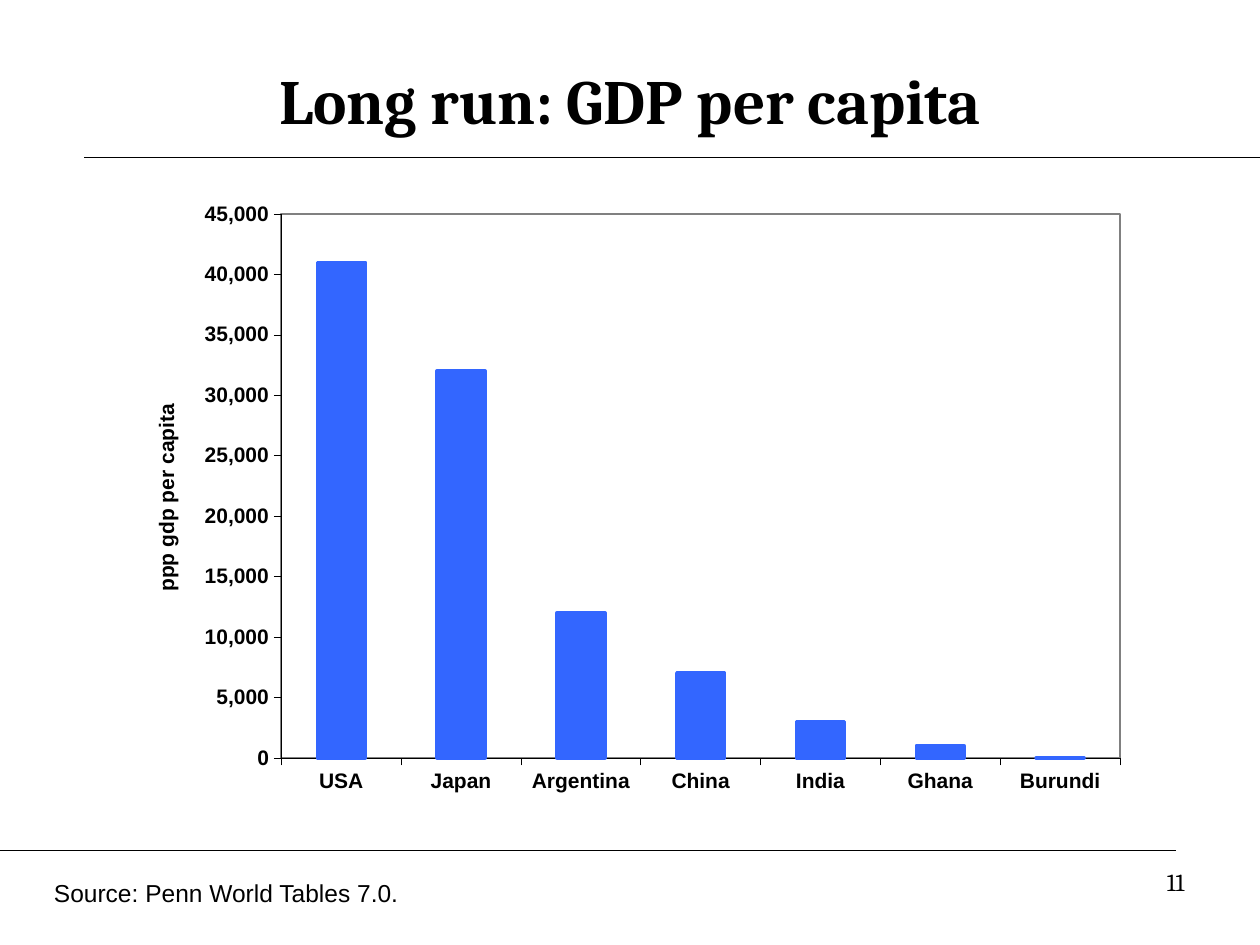
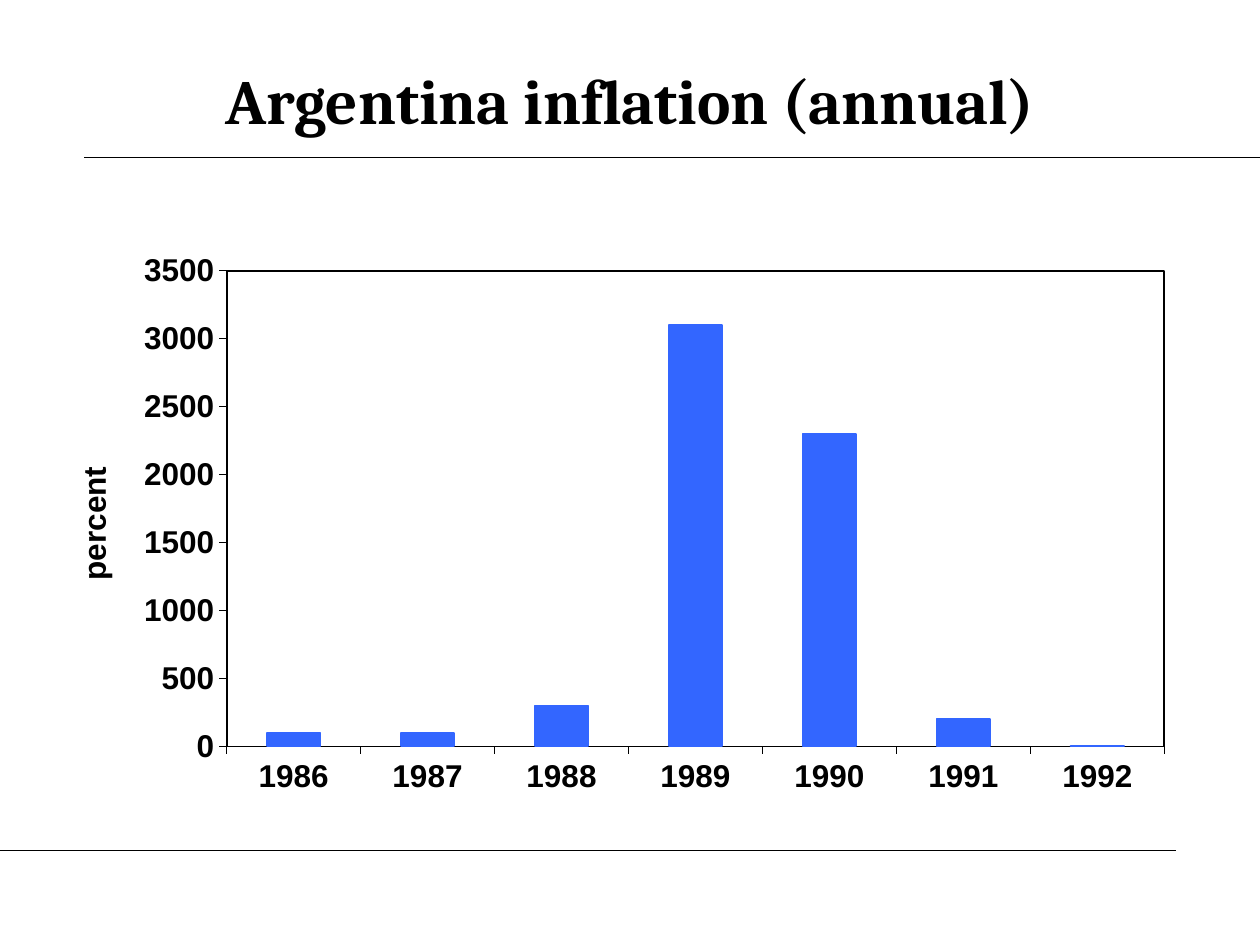
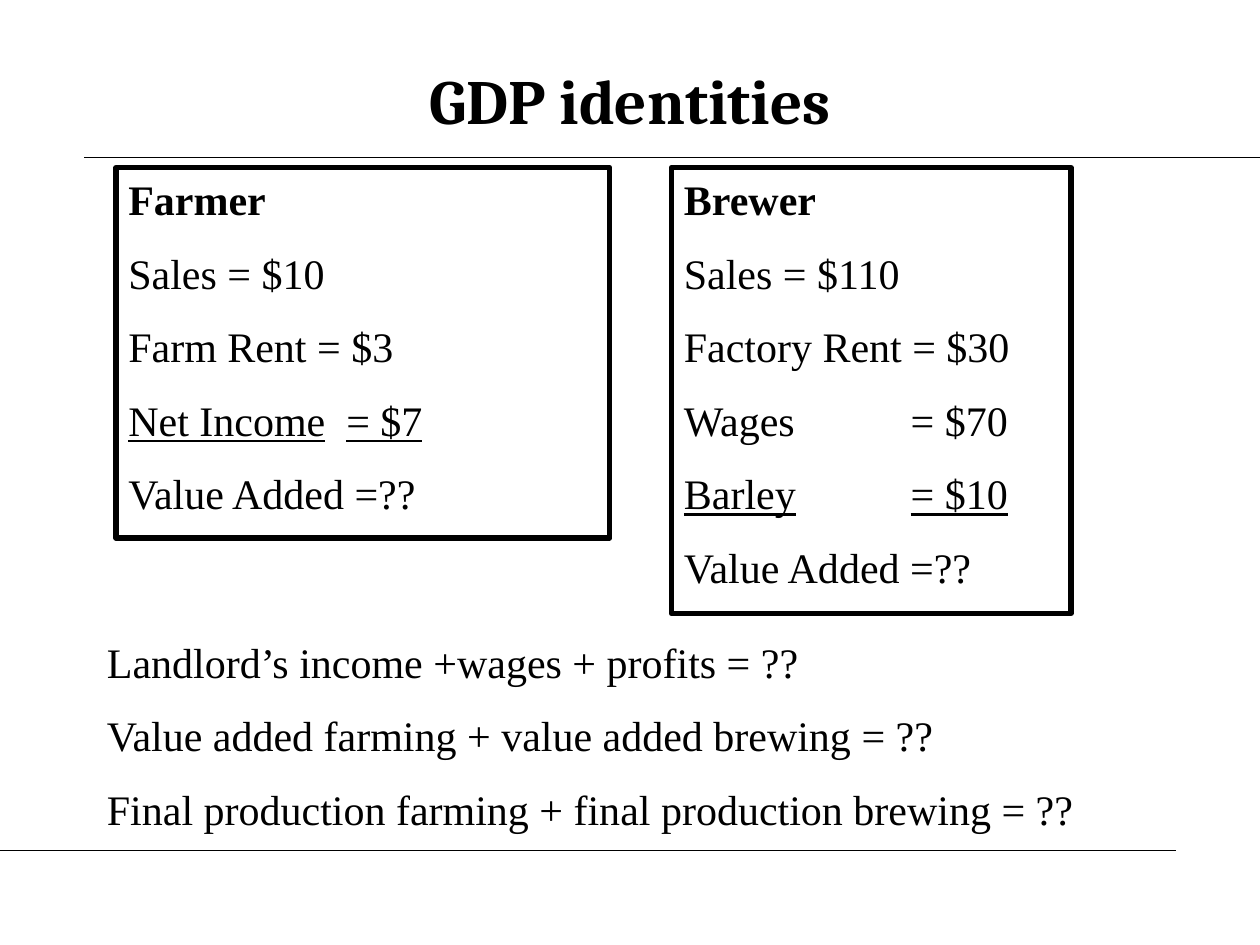
from lxml import etree
from pptx import Presentation
from pptx.chart.data import CategoryChartData
from pptx.dml.color import RGBColor
from pptx.enum.chart import XL_CHART_TYPE, XL_TICK_MARK
from pptx.enum.shapes import MSO_CONNECTOR, MSO_SHAPE
from pptx.enum.text import MSO_ANCHOR, PP_ALIGN
from pptx.oxml import parse_xml
from pptx.oxml.ns import nsdecls, qn
from pptx.util import Inches, Pt

COLUMN = XL_CHART_TYPE.COLUMN_CLUSTERED
OUT = XL_TICK_MARK.OUTSIDE
STRAIGHT = MSO_CONNECTOR.STRAIGHT
RECT = MSO_SHAPE.RECTANGLE
TOP, MIDDLE = MSO_ANCHOR.TOP, MSO_ANCHOR.MIDDLE
LEFT, CENTER, RIGHT = PP_ALIGN.LEFT, PP_ALIGN.CENTER, PP_ALIGN.RIGHT

HUES = {"ink": "000000", "bar": "3366FF", "gray": "808080"}
HEAD, BODY, SANS = "Cambria", "Times New Roman", "Arial"
WIDE, HIGH = 10, 7.5
TITLE = (0.5, 0.33, 9, 0.92)
RULES = [(0.67, WIDE, 1.25), (0, 9.33, 6.75)]

GDP = {
    "title": "Long run: GDP per capita",
    "at": (1.03, 1.39, 8.02, 5.14),
    "plot": (0.15, 0.06, 0.83, 0.84),
    "unit": "ppp gdp per capita",
    "form": "#,##0", "size": 12, "edge": 2, "frame": "gray",
    "top": 45000, "step": 5000,
    "data": {"USA": 41000, "Japan": 32000, "Argentina": 12000,
             "China": 7000, "India": 3000, "Ghana": 1000, "Burundi": 0},
}
PRICE = {
    "title": "Argentina inflation (annual)",
    "at": (0.47, 1.81, 8.86, 4.84),
    "plot": (0.15, 0.07, 0.84, 0.78),
    "unit": "percent",
    "form": "0", "size": 18, "edge": 1, "frame": "ink",
    "top": 3500, "step": 500,
    "data": {"1986": 100, "1987": 100, "1988": 300, "1989": 3100,
             "1990": 2300, "1991": 200, "1992": 0},
}
FIRMS = [
    {"at": (0.92, 1.33, 3.92, 2.94), "tab": 1.73, "rows": [
        "Farmer", "Sales = $10", "Farm Rent = $3",
        "Net Income\t= $7", "Value Added =??"]},
    {"at": (5.33, 1.33, 3.17, 3.54), "tab": 1.8, "rows": [
        "Brewer", "Sales = $110", "Factory Rent = $30",
        "Wages\t= $70", "Barley\t= $10", "Value Added =??"]},
]
SUMS = [
    "Landlord’s income +wages + profits = ??",
    "Value added farming + value added brewing = ??",
    "Final production farming + final production brewing = ??",
]


def rgb(hue):
    return RGBColor.from_string(HUES[hue])


def box(at):
    return [Inches(n) for n in at]


def style(font, name, size, bold=False):
    font.name, font.size, font.bold = name, Pt(size), bold
    font.color.rgb = rgb("ink")


def stroke(line, hue, width):
    line.color.rgb = rgb(hue)
    line.width = Pt(width)


def write(frame, rows, name, size, align=LEFT, gap=0, tab=None, head=False):
    frame.vertical_anchor = TOP
    for i, row in enumerate(rows):
        para = frame.paragraphs[0] if i == 0 else frame.add_paragraph()
        para.text = row
        if "\t" in row:
            tabs = etree.SubElement(para._p.get_or_add_pPr(), qn("a:tabLst"))
            etree.SubElement(tabs, qn("a:tab"), pos=str(Inches(tab)), algn="l")
        para.alignment = align
        para.space_before = Pt(gap if i else 0)
        style(para.font, name, size, head and i == 0)
        if head and i == len(rows) - 2:
            para.font.underline = True


def note(slide, at, rows, name, size, wrap=True, **kind):
    frame = slide.shapes.add_textbox(*box(at)).text_frame
    frame.word_wrap = wrap
    write(frame, rows, name, size, **kind)


def start(deck, title):
    slide = deck.slides.add_slide(deck.slide_layouts[5])
    head = slide.shapes.title
    head.left, head.top, head.width, head.height = box(TITLE)
    write(head.text_frame, [title], HEAD, 36, CENTER)
    head.text_frame.vertical_anchor = MIDDLE
    head.text_frame.paragraphs[0].font.bold = True
    return slide


def rule(slide):
    for x, end, y in RULES:
        line = slide.shapes.add_connector(STRAIGHT, *box((x, y, end, y)))
        stroke(line.line, "ink", 0.75)
        etree.SubElement(line.element.xpath("p:spPr")[0], qn("a:effectLst"))
        slide.slide_layout.shapes.element.append(line.element)


def fit(chart, plot, hue):
    area = chart.element.xpath(".//c:plotArea")[0]
    for old in area.xpath("c:layout"):
        area.remove(old)
    spots = "".join(f'<c:{k} val="{v}"/>' for k, v in zip("xywh", plot))
    area.insert(0, parse_xml(
        f'<c:layout {nsdecls("c")}><c:manualLayout><c:layoutTarget val="inner"/>'
        f'<c:xMode val="edge"/><c:yMode val="edge"/>{spots}'
        "</c:manualLayout></c:layout>"))
    area.append(parse_xml(
        f'<c:spPr {nsdecls("c", "a")}><a:noFill/><a:ln w="{Pt(1)}"><a:solidFill>'
        f'<a:srgbClr val="{HUES[hue]}"/></a:solidFill></a:ln></c:spPr>'))


def graph(slide, spec):
    data = CategoryChartData(number_format=spec["form"])
    data.categories = list(spec["data"])
    data.add_series("Series 1", list(spec["data"].values()))
    chart = slide.shapes.add_chart(COLUMN, *box(spec["at"]), data).chart
    chart.has_title = chart.has_legend = False
    style(chart.font, SANS, spec["size"], True)
    for axis in (chart.category_axis, chart.value_axis):
        axis.has_major_gridlines = False
        axis.major_tick_mark = OUT
        stroke(axis.format.line, "ink", 0.25)
        style(axis.tick_labels.font, SANS, spec["size"], True)
    axis = chart.value_axis
    axis.minimum_scale, axis.maximum_scale = 0, spec["top"]
    axis.major_unit = spec["step"]
    axis.tick_labels.number_format = spec["form"]
    axis.tick_labels.number_format_is_linked = False
    label = axis.axis_title
    para = label.text_frame.paragraphs[0]
    para.text = spec["unit"]
    style(para.font, SANS, spec["size"], True)
    turn = label.element.xpath(".//a:bodyPr")[0]
    turn.set("rot", "-5400000")
    turn.set("vert", "horz")
    plot = chart.plots[0]
    plot.gap_width, plot.vary_by_categories = 150, False
    bars = plot.series[0].format
    bars.fill.solid()
    bars.fill.fore_color.rgb = rgb("bar")
    stroke(bars.line, "bar", spec["edge"])
    fit(chart, spec["plot"], spec["frame"])


def firm(slide, at, tab, rows):
    card = slide.shapes.add_shape(RECT, *box(at))
    card.shadow.inherit = False
    card.fill.background()
    stroke(card.line, "ink", 3)
    write(card.text_frame, rows, BODY, 24, gap=13.2, tab=tab, head=True)


def main():
    deck = Presentation()
    deck.slide_width, deck.slide_height = box((WIDE, HIGH))
    slide = start(deck, GDP["title"])
    rule(slide)
    graph(slide, GDP)
    note(slide, (7.17, 6.83, 2.33, 0.52), ["11"], HEAD, 14, align=RIGHT)
    note(slide, (0.33, 6.92, 2.96, 0.34), ["Source: Penn World Tables 7.0."],
         SANS, 14, wrap=False)
    graph(start(deck, PRICE["title"]), PRICE)
    slide = start(deck, "GDP identities")
    for item in FIRMS:
        firm(slide, **item)
    note(slide, (0.75, 5, 8.25, 1.7), SUMS, BODY, 24, gap=13.2)
    deck.save("out.pptx")


if __name__ == "__main__":
    main()
